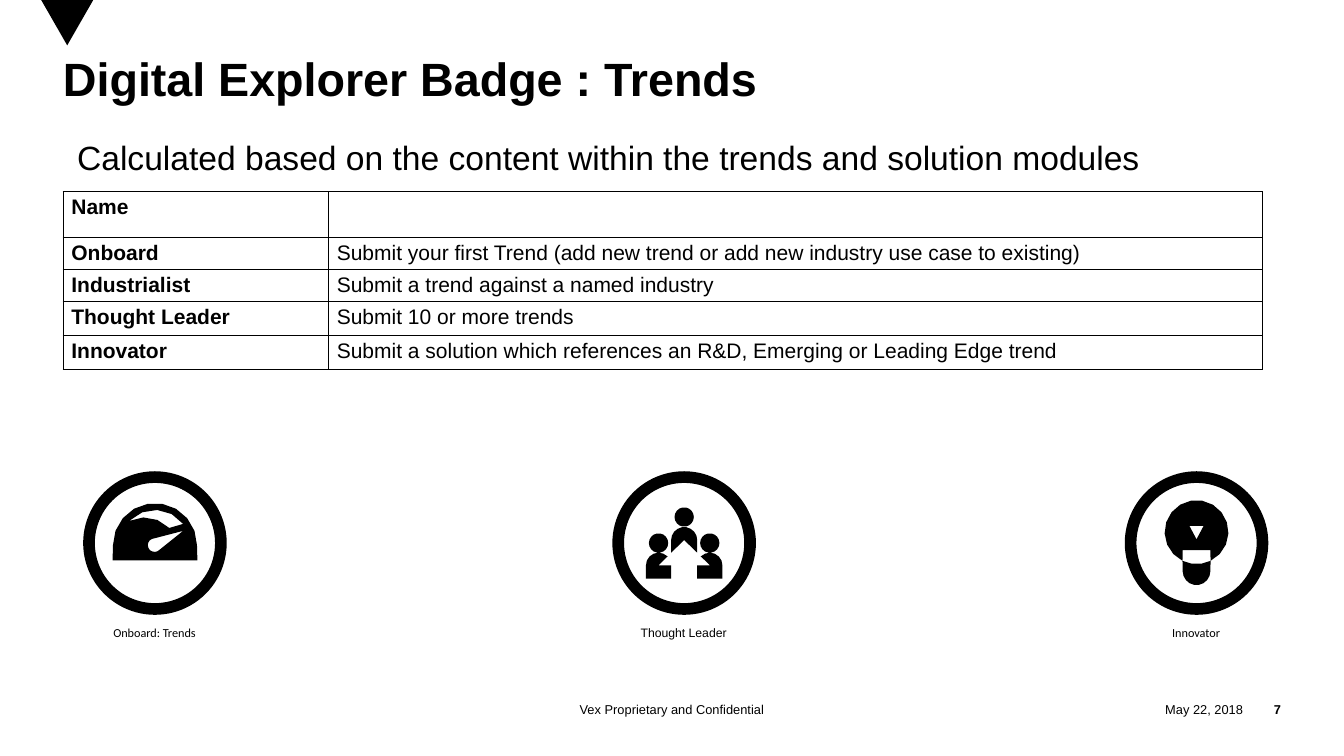
import math

from lxml import etree
from pptx import Presentation
from pptx.dml.color import RGBColor
from pptx.enum.shapes import MSO_SHAPE
from pptx.enum.text import MSO_ANCHOR, PP_ALIGN
from pptx.oxml.ns import qn
from pptx.util import Inches, Pt

BLACK = RGBColor(0, 0, 0)
WHITE = RGBColor(255, 255, 255)
OVAL = MSO_SHAPE.OVAL
DOWN_TRIANGLE = MSO_SHAPE.FLOWCHART_MERGE
LEFT, CENTER, RIGHT = PP_ALIGN.LEFT, PP_ALIGN.CENTER, PP_ALIGN.RIGHT
TOP, MIDDLE = MSO_ANCHOR.TOP, MSO_ANCHOR.MIDDLE
UNITS_PER_INCH = 1000

prs = Presentation()
prs.slide_width, prs.slide_height = Inches(16), Inches(9)
slide = prs.slides.add_slide(prs.slide_layouts[6])
shapes = slide.shapes


def add_text(text, box, size, align=LEFT, anchor=TOP, font="Arial", bold=False, inset=True):
    frame = shapes.add_textbox(*map(Inches, box)).text_frame
    frame.word_wrap = True
    frame.vertical_anchor = anchor
    if not inset:
        frame.margin_left = frame.margin_right = frame.margin_top = frame.margin_bottom = 0
    paragraph = frame.paragraphs[0]
    paragraph.alignment = align
    run = paragraph.add_run()
    run.text = text
    run.font.name, run.font.size, run.font.bold = font, Pt(size), bold
    run.font.color.rgb = BLACK
    return paragraph


def arc(cx, cy, radius, start, end):
    steps = max(3, abs(end - start) // 20)
    angles = [math.radians(start + (end - start) * i / steps) for i in range(steps + 1)]
    return [(cx + radius * math.cos(a), cy + radius * math.sin(a)) for a in angles]


corner = shapes.add_shape(DOWN_TRIANGLE, Inches(0.49), 0, Inches(0.62), Inches(0.54))
corner.shadow.inherit = False
corner.fill.solid()
corner.fill.fore_color.rgb = BLACK
corner.line.fill.background()

title = add_text("Digital Explorer Badge : Trends", (0.75, 0.7, 14.5, 1.55), 40, bold=True, inset=False)
title.line_spacing = 0.85
add_text("Calculated based on the content within the trends and solution modules",
         (0.82, 1.58, 12.96, 0.59), 28.8)

badge_rules = [
    ("Name", "", 0.55),
    ("Onboard", "Submit your first Trend (add new trend or add new industry use case to existing)", 0.38),
    ("Industrialist", "Submit a trend against a named industry", 0.38),
    ("Thought Leader", "Submit 10 or more trends", 0.4),
    ("Innovator", "Submit a solution which references an R&D, Emerging or Leading Edge trend", 0.41),
]
rules_table = shapes.add_table(len(badge_rules), 2, Inches(0.75), Inches(2.28),
                               Inches(14.28), Inches(2.12)).table
rules_table.columns[0].width = Inches(3.16)
rules_table.columns[1].width = Inches(11.12)
for row, (name, rule, height) in enumerate(badge_rules):
    rules_table.rows[row].height = Inches(height)
    for column, text in enumerate((name, rule)):
        cell = rules_table.cell(row, column)
        cell.margin_bottom = Inches(0.03)
        if text:
            run = cell.text_frame.paragraphs[0].add_run()
            run.text = text
            run.font.name, run.font.size, run.font.bold = "Arial", Pt(18), column == 0
            run.font.color.rgb = BLACK
        properties = cell._tc.get_or_add_tcPr()
        for side in ("a:lnL", "a:lnR", "a:lnT", "a:lnB"):
            border = etree.SubElement(properties, qn(side), w=str(Pt(1)))
            border_fill = etree.SubElement(border, qn("a:solidFill"))
            etree.SubElement(border_fill, qn("a:srgbClr"), val=str(BLACK))
        cell.fill.solid()
        cell.fill.fore_color.rgb = WHITE

gauge = [
    arc(1.845, 6.49, 0.5, 180, 360) + [(2.35, 6.67), (1.34, 6.67)],
    [(2.18, 6.32)] + arc(1.84, 6.49, 0.08, 265, 45),
    arc(1.845, 6.49, 0.42, -37, -136) + arc(1.72, 6.57, 0.41, -116, -44),
]

left_person = [(7.95, 6.62)] + arc(7.84, 6.73, 0.15, -46, -180) + [
    (7.69, 6.89), (7.99, 6.89), (7.99, 6.73), (7.84, 6.73)]
team = [
    arc(8.145, 6.43, 0.155, 180, 360) + [(8.3, 6.58), (8.145, 6.43), (7.99, 6.58)],
    left_person,
    [(16.29 - x, y) for x, y in left_person],
]
for head_x, head_y in ((8.145, 6.155), (7.84, 6.465), (8.45, 6.465)):
    team.append(arc(head_x, head_y, 0.115, 0, 360))

bulb = [
    arc(14.245, 6.335, 0.38, 116, 424) + [(14.41, 6.55), (14.08, 6.55)],
    [(14.16, 6.26), (14.33, 6.26), (14.245, 6.42)],
    arc(14.245, 6.8, 0.165, 0, 180) + arc(14.245, 6.335, 0.38, 116, 64),
]

badges = [
    ("Onboard: Trends", 1.06, "Calibri", gauge),
    ("Thought Leader", 7.36, "Arial", team),
    ("Innovator", 13.46, "Calibri", bulb),
]
for caption, left, font, contours in badges:
    ring = shapes.add_shape(OVAL, Inches(left), Inches(5.68), Inches(1.57), Inches(1.57))
    ring.shadow.inherit = False
    ring.fill.solid()
    ring.fill.fore_color.rgb = WHITE
    ring.line.color.rgb = BLACK
    ring.line.width = Pt(10)

    outlines = [[(round(x * UNITS_PER_INCH), round(y * UNITS_PER_INCH)) for x, y in contour]
                for contour in contours]
    builder = shapes.build_freeform(*outlines[0][0], scale=Inches(1) / UNITS_PER_INCH)
    builder.add_line_segments(outlines[0][1:], close=True)
    for outline in outlines[1:]:
        builder.move_to(*outline[0])
        builder.add_line_segments(outline[1:], close=True)
    icon = builder.convert_to_shape()
    icon.shadow.inherit = False
    icon.fill.solid()
    icon.fill.fore_color.rgb = BLACK
    icon.line.fill.background()

    add_text(caption, (left - 0.04, 7.39, 1.64, 0.28), 10.5, CENTER, font=font)

for text, box, align, bold in (
    ("Vex Proprietary and Confidential", (5.25, 8.29, 5.5, 0.3), CENTER, False),
    ("May 22, 2018", (13.01, 8.29, 1.79, 0.3), RIGHT, False),
    ("7", (14.8, 8.29, 0.45, 0.3), RIGHT, True),
):
    add_text(text, box, 11, align, MIDDLE, bold=bold, inset=False)

prs.save("out.pptx")
